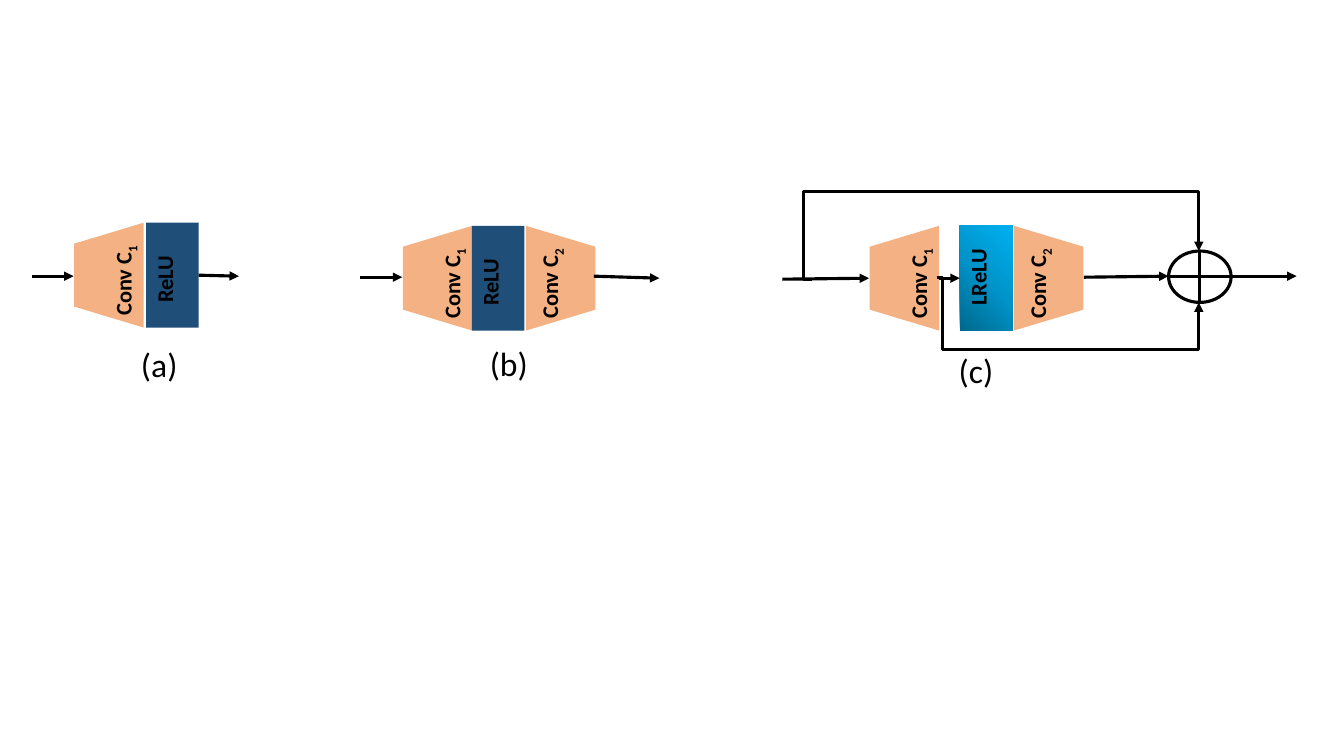
from copy import deepcopy
from lxml.etree import SubElement
from pptx import Presentation
from pptx.dml.color import RGBColor
from pptx.enum.shapes import MSO_CONNECTOR, MSO_SHAPE
from pptx.oxml.ns import qn
from pptx.util import Inches, Pt

deck = Presentation()
deck.slide_width, deck.slide_height = Inches(13.33), Inches(7.5)
slide = deck.slides.add_slide(deck.slide_layouts[6])
cell = Inches(0.1)


def tint(code):
    return RGBColor.from_string(code)


def grid(*cells):
    return [round(n * cell) for n in cells]


ink = "000000"
wide, tall, deep = 5.2, 10.4, 6.9
frame = {"word_wrap": True, "margin_right": 0}
bold = {"name": "Calibri", "size": Pt(16), "bold": True}
plain = {"name": "Calibri", "size": Pt(24), "bold": False}

kinds = {
    "left": (MSO_SHAPE.FLOWCHART_MANUAL_OPERATION, tall, deep, 90, 1.4, -0.1, 10.2),
    "mid": (MSO_SHAPE.RECTANGLE, wide, tall, 0, -0.8, -0.25, 7.9),
    "right": (MSO_SHAPE.FLOWCHART_MANUAL_OPERATION, tall, deep, 270, -1.1, -0.1, 10.2),
}
parts = [
    ("a", "left", 10.8, 27.3, "F4B183", "Conv C", "1"),
    ("a", "mid", 17.1, 27.3, "1F4E79", "ReLU", ""),
    ("b", "left", 43.4, 27.6, "F4B183", "Conv C", "1"),
    ("b", "mid", 49.4, 27.6, "1F4E79", "ReLU", ""),
    ("b", "right", 55.6, 27.6, "F4B183", "Conv C", "2"),
    ("c", "left", 89.7, 27.6, "F4B183", "Conv C", "1"),
    ("c", "mid", 97.8, 27.6, "", "LReLU", ""),
    ("c", "right", 104, 27.6, "F4B183", "Conv C", "2"),
]
blocks = {}
notes = []
for net, kind, x, y, hue, word, sub in parts:
    form, w, h, turn, dx, dy, span = kinds[kind]
    block = slide.shapes.add_shape(form, *grid(x - w / 2, y - h / 2, w, h))
    block.rotation = turn
    block.shadow.inherit = False
    block.line.fill.background()
    if hue:
        block.fill.solid()
        block.fill.fore_color.rgb = tint(hue)
    else:
        block.fill.gradient()
        block.fill.gradient_angle = 45
        first = block.fill.gradient_stops[0]._gs
        first.addnext(deepcopy(first))
        for stop, (place, shade) in zip(
            block.fill.gradient_stops, [(0, "00688E"), (0.5, "0094CA"), (1, "00B0F0")]
        ):
            stop.position = place
            stop.color.rgb = tint(shade)
    blocks[net, kind] = block
    notes.append((x + dx - span / 2, y + dy - 1.85, span, 3.7, 270, word, sub, bold))

for x, y, word in [(13, 33.6, "(a)"), (47.6, 33.5, "(b)"), (94.1, 34.2, "(c)")]:
    notes.append((x, y, 28.9, 5, 0, word, "", plain))

for x, y, w, h, turn, word, sub, style in notes:
    box = slide.shapes.add_textbox(*grid(x, y, w, h))
    box.rotation = turn
    for key, value in frame.items():
        setattr(box.text_frame, key, value)
    for text in filter(None, (word, sub)):
        run = box.text_frame.paragraphs[0].add_run()
        run.text = text
        run.font.color.rgb = tint(ink)
        for key, value in style.items():
            setattr(run.font, key, value)
        if text == sub:
            run.font._element.set("baseline", "-25000")

plus = slide.shapes.add_shape(MSO_SHAPE.FLOWCHART_OR, *grid(115.9, 24.9, 6.2, 5.1))
plus.shadow.inherit = False
plus.fill.background()
plus.line.color.rgb = tint(ink)
plus.line.width = Pt(2.25)

links = [
    (3.2, 27.4, 7.3, 27.4, None, None, None),
    (19.7, 27.3, 23.7, 27.4, "a", None, None),
    (35.7, 27.5, 39.9, 27.5, None, None, None),
    (58.9, 27.4, 65.4, 27.6, None, None, None),
    (77.6, 27.7, 86.2, 27.6, None, None, None),
    (93.1, 27.6, 95.2, 27.6, None, "c", None),
    (107.5, 27.5, 115.9, 27.4, None, None, None),
    (119.3, 27.4, 128.6, 27.4, None, None, None),
    (92.9, 27.5, 118.9, 30, None, None, (2400, 288100)),
    (80.5, 27.7, 118.9, 24.9, None, None, (-2000, 311700)),
]
for x, y, far, low, start, end, bend in links:
    sort = MSO_CONNECTOR.ELBOW if bend else MSO_CONNECTOR.STRAIGHT
    link = slide.shapes.add_connector(sort, *grid(x, y, far, low))
    if start:
        link.begin_connect(blocks[start, "mid"], 3)
    if end:
        link.end_connect(blocks[end, "mid"], 1)
    link.line.color.rgb = tint(ink)
    link.line.width = Pt(2.25)
    props = link._element.spPr
    SubElement(props.find(qn("a:ln")), qn("a:tailEnd"), type="triangle")
    SubElement(props, qn("a:effectLst"))
    if bend:
        shape = props.find(qn("a:prstGeom"))
        shape.set("prst", "bentConnector4")
        for slot, value in enumerate(bend, 1):
            SubElement(shape.find(qn("a:avLst")), qn("a:gd"), name=f"adj{slot}", fmla=f"val {value}")

deck.save("out.pptx")
